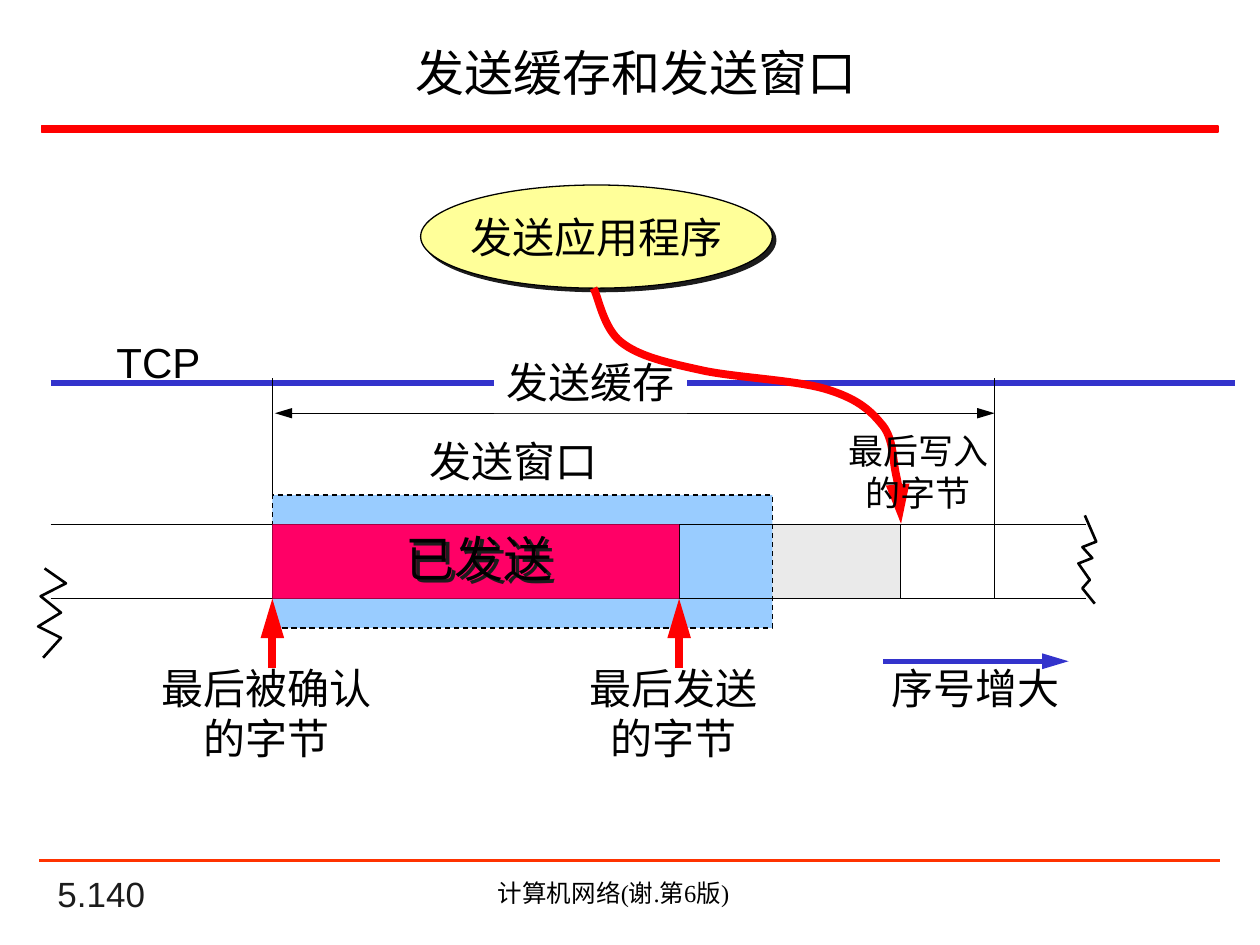
import itertools
from dataclasses import dataclass

import pptx
import pptx.util
import pptx.dml.color
import pptx.enum.dml
import pptx.enum.shapes
import pptx.enum.text
import pptx.oxml.ns
from lxml import etree

Cm, Pt = pptx.util.Cm, pptx.util.Pt
RGB = pptx.dml.color.RGBColor.from_string
SHAPE = pptx.enum.shapes.MSO_SHAPE
ALIGN = pptx.enum.text.PP_ALIGN
ANCHOR = pptx.enum.text.MSO_ANCHOR
qn = pptx.oxml.ns.qn


@dataclass(frozen=True)
class Theme:
    black: str = "000000"
    white: str = "FFFFFF"
    red: str = "FF0000"
    rule: str = "FF3300"
    blue: str = "3333CC"
    window: str = "99CCFF"
    sent: str = "FF0066"
    written: str = "EAEAEA"
    app: str = "FFFF99"
    dark: str = "1C1C1C"
    font: str = "Arial"
    title_font: str = "Lato"
    sent_font: str = "Noto Sans CJK SC"
    footer_font: str = "Times New Roman"
    heading: int = 28
    label: int = 24
    small: int = 20
    footer: int = 14
    thin: float = 0.75
    medium: float = 1.5
    thick: float = 3
    bold: float = 4.5


T = Theme()


@dataclass(frozen=True)
class Box:
    """A region of the slide in centimetres."""
    x: float
    y: float
    w: float
    h: float

    def inner(self, x, y, w, h):
        return Box(self.x + x, self.y + y, w, h)

    def emu(self):
        return [Cm(v) for v in (self.x, self.y, self.w, self.h)]


def write(tf, lines, size=T.label, font=T.font, color=T.black, align=ALIGN.CENTER):
    for i, line in enumerate(lines):
        p = tf.paragraphs[0] if i == 0 else tf.add_paragraph()
        p.text = line
        p.alignment = align
        p.font.size, p.font.name = Pt(size), font
        p.font.color.rgb = RGB(color)


def add_text(s, box, *lines, wrap=False, anchor=ANCHOR.TOP, **style):
    sp = s.shapes.add_textbox(*box.emu())
    sp.text_frame.word_wrap = wrap
    sp.text_frame.vertical_anchor = anchor
    write(sp.text_frame, lines, **style)
    return sp


def add_block(s, box, fill, line=None, kind=SHAPE.RECTANGLE, width=T.thin):
    sp = s.shapes.add_shape(kind, *box.emu())
    sp.shadow.inherit = False
    sp.fill.solid()
    sp.fill.fore_color.rgb = RGB(fill)
    if line:
        sp.line.color.rgb = RGB(line)
        sp.line.width = Pt(width)
    else:
        sp.line.fill.background()
    return sp


def add_arrowheads(sp, *ends):
    ln = sp._element.spPr.find(qn("a:ln"))
    for end in ends:
        etree.SubElement(ln, qn(f"a:{end}"), type="triangle", w="med", len="lg")


def add_line(s, x1, y1, x2, y2, color=T.black, width=T.thin, ends=()):
    line = s.shapes.add_connector(pptx.enum.shapes.MSO_CONNECTOR.STRAIGHT,
                                  Cm(x1), Cm(y1), Cm(x2), Cm(y2))
    line.line.color.rgb = RGB(color)
    line.line.width = Pt(width)
    add_arrowheads(line, *ends)
    etree.SubElement(line._element.spPr, qn("a:effectLst"))


def add_outline(s, box, points, color, width):
    """Draw an open outline through points relative to the box."""
    pts = [(Cm(box.x + x), Cm(box.y + y)) for x, y in points]
    fb = s.shapes.build_freeform(*pts[0])
    fb.add_line_segments(pts[1:], close=False)
    sp = fb.convert_to_shape()
    sp.shadow.inherit = False
    sp.fill.background()
    sp.line.color.rgb = RGB(color)
    sp.line.width = Pt(width)
    return sp


def make_cubic(sp):
    """Turn each three line segments into one Bezier curve."""
    outline = next(sp._element.iter(qn("a:path")))
    segments = outline.findall(qn("a:lnTo"))
    for i in range(0, len(segments), 3):
        curve = etree.SubElement(outline, qn("a:cubicBezTo"))
        for seg in segments[i:i + 3]:
            curve.append(seg[0])
            outline.remove(seg)


def add_shadow(sp):
    sp.shadow.inherit = False
    effects = sp._element.spPr.find(qn("a:effectLst"))
    shadow = etree.SubElement(effects, qn("a:outerShdw"), dist=str(Pt(2.8)),
                              dir="2700000", algn="ctr", rotWithShape="0")
    etree.SubElement(shadow, qn("a:srgbClr"), val=T.dark)


def draw_header(s, box):
    title = s.shapes.title
    title.left, title.top, title.width, title.height = box.inner(0.08, 0, 23.8, 1.78).emu()
    title.text_frame.vertical_anchor = ANCHOR.MIDDLE
    write(title.text_frame, ["发送缓存和发送窗口"], T.heading, T.title_font)
    add_block(s, box.inner(0, 1.98, box.w, 0.13), T.red, T.red, width=1)


def draw_footer(s, box):
    add_line(s, box.x, box.y, box.x + box.w, box.y, T.rule, T.medium)
    add_text(s, box.inner(0.12, 0.38, 5.28, 0.84), "5.140", anchor=ANCHOR.BOTTOM,
             size=T.small, color=T.dark, align=ALIGN.LEFT)
    add_text(s, box.inner(6.4, 0.23, 10.36, 0.86), "计算机网络(谢.第6版)", wrap=True,
             size=T.footer, font=T.footer_font)


def draw_buffer(s, box):
    """Draw the byte stream in the box, its window and the extent of the buffer."""
    acked, sent, window_end, written, buffer_end = 4.47, 12.67, 14.55, 17.14, 19.03
    left, top, bottom = box.x, box.y, box.y + box.h
    tcp, extent = top - 2.85, top - 2.24

    add_line(s, left + acked + 0.05, extent, left + buffer_end, extent,
             ends=("headEnd", "tailEnd"))
    add_block(s, box.inner(sent, 0, written - sent, box.h), T.written)
    add_line(s, left, tcp, left + 23.88, tcp, T.blue, T.thick)
    window = add_block(s, box.inner(acked, -0.59, window_end - acked, box.h + 1.18),
                       T.window, T.black)
    window.line.dash_style = pptx.enum.dml.MSO_LINE.DASH
    for y in (top, bottom):
        add_line(s, left, y, left + box.w, y)
    for x in (acked, sent, written):
        add_line(s, left + x, top, left + x, bottom)
    add_block(s, box.inner(acked, 0, sent - acked, box.h), T.sent)
    add_shadow(add_text(s, box.inner(6.9, -0.05, 3.48, 1.45), "已发送",
                        size=T.heading, font=T.sent_font))
    for x, end in ((acked, top - 0.59), (buffer_end, bottom)):
        add_line(s, left + x, top - 2.95, left + x, end)

    add_block(s, box.inner(8.94, -3.51, 3.89, 1.27), T.white)
    for x, y, w, text in ((8.94, -3.51, 3.89, "发送缓存"), (7.39, -1.91, 3.89, "发送窗口"),
                          (1.07, -3.92, 2.21, "TCP")):
        add_text(s, box.inner(x, y, w, 1.27), text)
    for x, w, text in ((acked, 4.75, "最后被确认"), (sent, 3.89, "最后发送")):
        add_line(s, left + x, bottom + 1.4, left + x, bottom, T.red, T.bold, ("tailEnd",))
        add_text(s, box.inner(x - 0.12 - w / 2, 2.66, w, 2.29), text, "的字节")

    add_line(s, left + 16.79, top + 2.76, left + 20.52, top + 2.76,
             T.blue, T.thick, ("tailEnd",))
    add_text(s, box.inner(16.71, 2.66, 3.89, 1.27), "序号增大")

    right_break = [(0.13, 0), (0.36, 0.53), (0.08, 0.64), (0.28, 0.86),
                   (0, 0.97), (0.23, 1.3), (0.08, 1.47), (0.33, 1.78)]
    left_break = [(0.13, 0), (0.56, 0.3), (0.05, 0.56), (0.46, 0.89),
                  (0, 1.17), (0.46, 1.4), (0.1, 1.8)]
    for x, y, points in ((20.72, -0.18, right_break), (-0.25, 0.89, left_break)):
        add_outline(s, box.inner(x, y, 0, 0), points, T.black, T.medium)


def draw_application(s, box):
    """Draw the sending program in the box and its curve down to the last written byte."""
    app = add_block(s, box, T.app, T.black, SHAPE.OVAL)
    add_shadow(app)
    app.text_frame.word_wrap = False
    app.text_frame.vertical_anchor = ANCHOR.MIDDLE
    write(app.text_frame, ["发送应用程序"])

    bends = [[(0, 0)],
             [(0.1, 0.18), (0.2, 0.81), (0.56, 1.09)],
             [(0.91, 1.37), (1.47, 1.5), (2.16, 1.65)],
             [(2.82, 1.8), (4.06, 1.85), (4.67, 2.03)],
             [(5.28, 2.21), (5.56, 2.44), (5.79, 2.72)],
             [(6.05, 3), (6.02, 3.4), (6.1, 3.76)],
             [(6.17, 4.09), (6.17, 4.55), (6.2, 4.75)]]
    start = box.inner(box.w / 2 - 0.06, box.h, 0, 0)
    curve = add_outline(s, start, itertools.chain(*bends), T.red, T.bold)
    make_cubic(curve)
    add_arrowheads(curve, "tailEnd")
    add_text(s, box.inner(8.2, 4.8, 3.66, 1.96), "最后写入的字节", wrap=True,
             size=T.small, font=T.title_font)


def main():
    prs = pptx.Presentation()
    prs.slide_width, prs.slide_height = Cm(25.4), Cm(19.05)
    s = prs.slides.add_slide(prs.slide_layouts[5])
    draw_header(s, Box(0.84, 0.56, 23.72, 2.11))
    draw_footer(s, Box(0.79, 17.35, 23.8, 1.22))
    draw_buffer(s, Box(1.02, 10.57, 20.88, 1.5))
    draw_application(s, Box(8.48, 3.73, 7.09, 2.08))
    prs.save("out.pptx")


if __name__ == "__main__":
    main()
